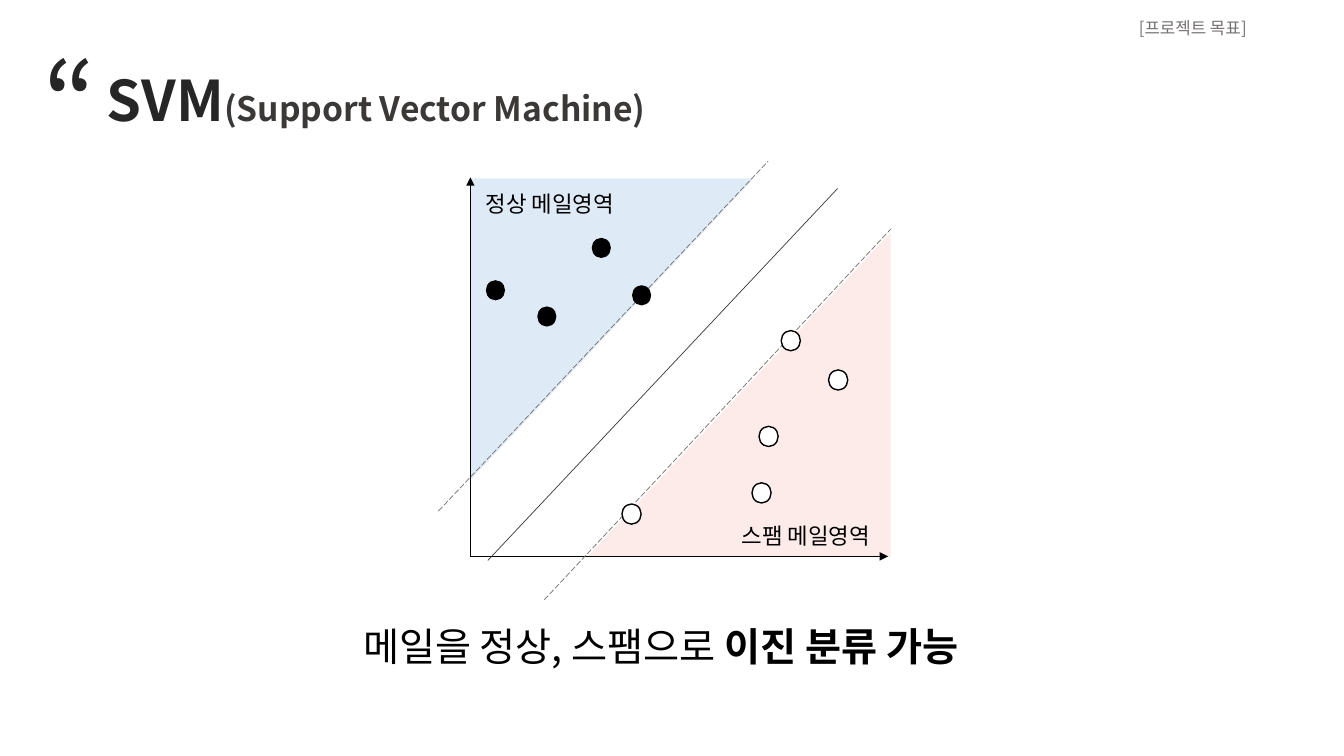
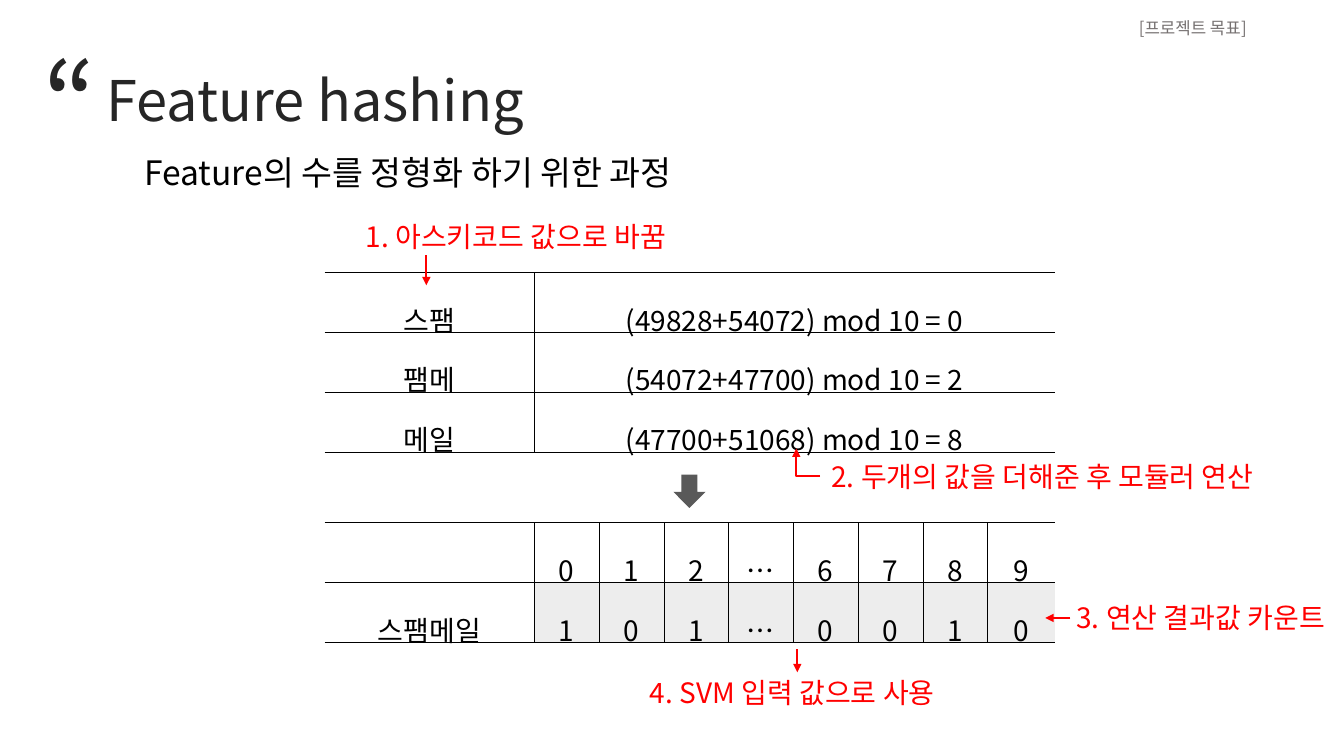
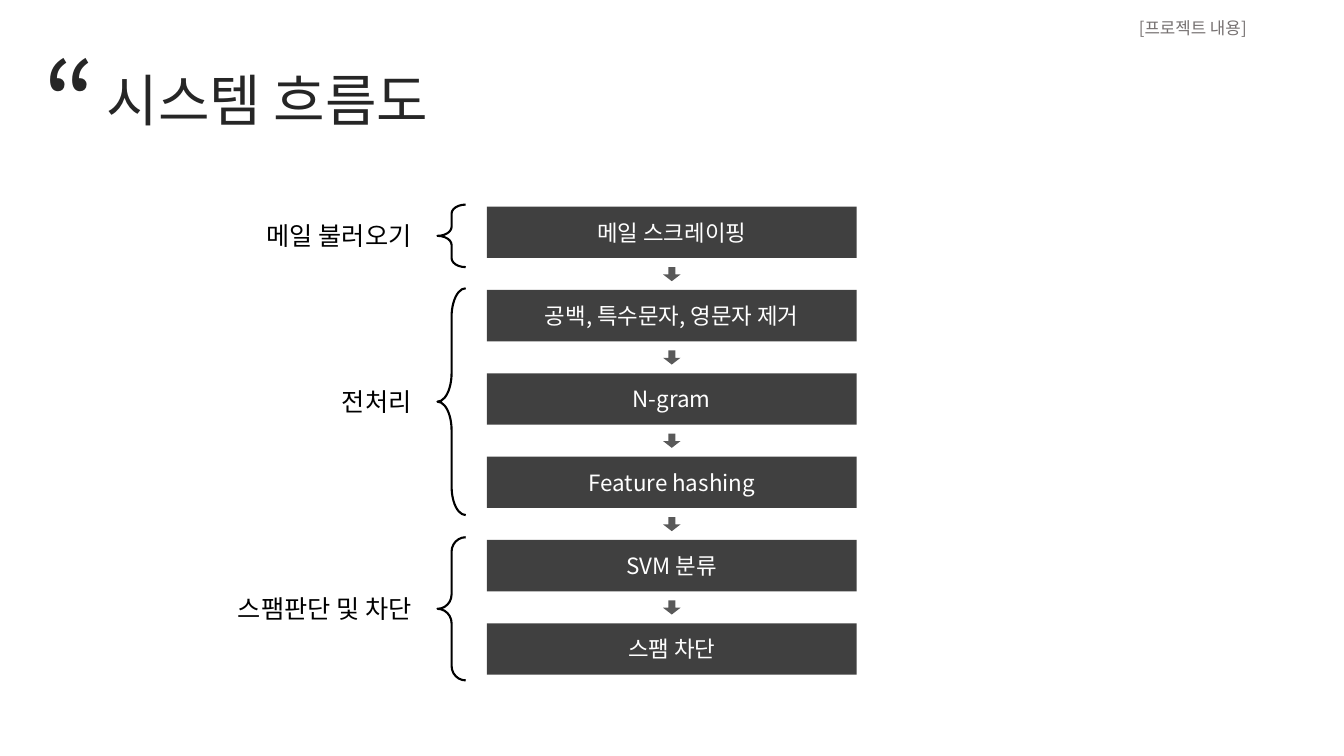
"""Build three slides about spam mail classification."""
import dataclasses

import lxml.etree
import pptx
import pptx.dml.color
import pptx.enum.dml
import pptx.enum.shapes
import pptx.enum.text
import pptx.oxml.ns
import pptx.util

ALIGN = pptx.enum.text.PP_ALIGN
ANCHOR = pptx.enum.text.MSO_ANCHOR
SHAPE = pptx.enum.shapes.MSO_SHAPE
LONG_DASH = pptx.enum.dml.MSO_LINE.LONG_DASH
qn = pptx.oxml.ns.qn

COLUMNS, ROWS = 40, 22.5
UNIT = pptx.util.Inches(1) / 3


@dataclasses.dataclass(frozen=True)
class Theme:
    """Colours, type sizes and font shared by the slides."""

    font: str = "Noto Sans CJK KR"
    black: str = "000000"
    white: str = "FFFFFF"
    heading: str = "262626"
    subheading: str = "3B3838"
    muted: str = "767171"
    box: str = "404040"
    arrow: str = "595959"
    note: str = "FF0000"
    normal_area: str = "DEEBF7"
    spam_area: str = "FCEBE8"
    count: str = "EDEDED"
    tag_size: int = 12
    label_size: int = 16
    group_size: int = 18
    body_size: int = 20
    lead_size: int = 24
    statement_size: int = 28
    title_size: int = 40
    quote_size: int = 80


THEME = Theme()


def units(*lengths):
    """Turn grid lengths into EMU."""
    return [pptx.util.Emu(round(length * UNIT)) for length in lengths]


def rgb(colour):
    """Return a colour object for a hex string."""
    return pptx.dml.color.RGBColor.from_string(colour)


def write(paragraph, text, size, colour=THEME.black, bold=False):
    """Append one run to a paragraph."""
    run = paragraph.add_run()
    run.text = text
    run.font.size = pptx.util.Pt(size)
    run.font.name = THEME.font
    run.font.bold = bold
    run.font.color.rgb = rgb(colour)
    east_asian = lxml.etree.SubElement(run._r.get_or_add_rPr(), qn("a:ea"))
    east_asian.set("typeface", THEME.font)


def text_box(slide, box, runs, align=ALIGN.LEFT, wrap=True):
    """Add a text box with one paragraph of runs and return the paragraph."""
    frame = slide.shapes.add_textbox(*units(*box)).text_frame
    frame.word_wrap = wrap
    frame.auto_size = pptx.enum.text.MSO_AUTO_SIZE.SHAPE_TO_FIT_TEXT
    paragraph = frame.paragraphs[0]
    paragraph.alignment = align
    for run in runs:
        write(paragraph, *run)
    return paragraph


def shape(slide, kind, box, fill=None, line=None, width=1, adjust=()):
    """Add a preset shape with optional fill, outline and adjustments."""
    added = slide.shapes.add_shape(kind, *units(*box))
    added.shadow.inherit = False
    for index, value in enumerate(adjust):
        added.adjustments[index] = value
    if fill:
        added.fill.solid()
        added.fill.fore_color.rgb = rgb(fill)
    else:
        added.fill.background()
    if line:
        added.line.color.rgb = rgb(line)
        added.line.width = pptx.util.Pt(width)
    else:
        added.line.fill.background()
    return added


def line(slide, start, end, colour, width=0.5, dash=None, arrow=False):
    """Add a straight line, optionally dashed or with an arrowhead."""
    straight = pptx.enum.shapes.MSO_CONNECTOR.STRAIGHT
    added = slide.shapes.add_connector(straight, *units(*start, *end))
    added.line.color.rgb = rgb(colour)
    added.line.width = pptx.util.Pt(width)
    if dash:
        added.line.dash_style = dash
    properties = added.element.spPr
    if arrow:
        head = lxml.etree.SubElement(properties.find(qn("a:ln")), qn("a:tailEnd"))
        head.set("type", "triangle")
    lxml.etree.SubElement(properties, qn("a:effectLst"))
    return added


def elbow_arrow(slide, tip, start):
    """Add an arrow running left from its start, then up to its tip."""
    added = line(slide, tip, start, THEME.note, 1.5, arrow=True)
    properties = added.element.spPr
    properties.find(qn("a:xfrm")).set("rot", "10800000")
    properties.find(qn("a:prstGeom")).set("prst", "bentConnector2")


def corner_area(slide, box, rotation, fill):
    """Add a right triangle turned a quarter so that it fills the given box."""
    left, top, width, height = box
    shift = (width - height) / 2
    turned = (left + shift, top - shift, height, width)
    shape(slide, SHAPE.RIGHT_TRIANGLE, turned, fill).rotation = rotation


def new_slide(deck, tag, *title_runs):
    """Add a slide with its section tag, quotation mark and title."""
    slide = deck.slides.add_slide(deck.slide_layouts[5])
    title = slide.shapes.title
    title.left, title.top, title.width, title.height = units(2.88, 1.8, 26.5, 2.31)
    frame = title.text_frame
    frame.word_wrap = True
    frame.auto_size = pptx.enum.text.MSO_AUTO_SIZE.NONE
    frame.vertical_anchor = ANCHOR.TOP
    frame.paragraphs[0].alignment = ALIGN.LEFT
    for run in title_runs:
        write(frame.paragraphs[0], *run)
    section = text_box(slide, (33.6, 0.45, 6, 1.41),
                       [(tag, THEME.tag_size, THEME.muted)], ALIGN.JUSTIFY)
    section.line_spacing = 0.9
    text_box(slide, (1, 0.84, 2.5, 4.35), [("“", THEME.quote_size, THEME.heading)])
    return slide


def svm_slide(deck):
    """Show the two mail areas split by a support vector machine."""
    slide = new_slide(
        deck, "[프로젝트 목표]",
        ("SVM", THEME.title_size, THEME.heading, True),
        ("(Support Vector Machine)", THEME.lead_size, THEME.subheading, True))
    corner_area(slide, (17.48, 6.92, 9.03, 9.66), 270, THEME.spam_area)
    corner_area(slide, (14, 5.31, 8.43, 8.97), 90, THEME.normal_area)
    origin = (14, 16.56)
    for axis_end in ((14, 5.28), (26.43, 16.56)):
        line(slide, origin, axis_end, THEME.black, arrow=True)
    for start, end in (((13.05, 15.21), (22.86, 4.8)), ((16.2, 17.85), (26.52, 6.81))):
        line(slide, start, end, THEME.muted, dash=LONG_DASH)
    line(slide, (14.52, 16.68), (24.93, 5.61), THEME.subheading)
    normal_mails = [(15.99, 9.12), (18.81, 8.49), (17.61, 7.08), (14.46, 8.34)]
    spam_mails = [(23.25, 9.84), (22.59, 12.69), (18.51, 15), (22.38, 14.37), (24.66, 11.01)]
    for mails, fill, outline in ((normal_mails, THEME.black, None),
                                 (spam_mails, THEME.white, THEME.black)):
        for mail in mails:
            shape(slide, SHAPE.OVAL, (*mail, 0.57, 0.6), fill, outline)
    for area, place in (("스팸 메일영역", (21.78, 15.39)), ("정상 메일영역", (14.16, 5.52))):
        text_box(slide, (*place, 5.4, 1.08), [(area, THEME.label_size)])
    text_box(slide, (6.21, 18.36, 26.91, 1.71),
             [("메일을 정상, 스팸으로 ", THEME.statement_size),
              ("이진 분류 가능", THEME.statement_size, THEME.black, True)], ALIGN.CENTER)


def border(cell, side, visible):
    """Draw or hide one side of a table cell."""
    edge = lxml.etree.Element(qn("a:ln" + side), w="3556")
    if visible:
        fill = lxml.etree.SubElement(edge, qn("a:solidFill"))
        lxml.etree.SubElement(fill, qn("a:srgbClr"), val=THEME.black)
    else:
        lxml.etree.SubElement(edge, qn("a:noFill"))
    properties = cell._tc.get_or_add_tcPr()
    properties.insert("LRTB".index(side), edge)


def table_cell(cell, text, fill, left_rule, right_rule):
    """Format one table cell and write its text."""
    cell.margin_left = cell.margin_right = pptx.util.Inches(0.07)
    cell.margin_top = cell.margin_bottom = pptx.util.Inches(0.02)
    cell.vertical_anchor = ANCHOR.MIDDLE
    if fill:
        cell.fill.solid()
        cell.fill.fore_color.rgb = rgb(fill)
    else:
        cell.fill.background()
    for side, visible in zip("LRTB", (left_rule, right_rule, True, True)):
        border(cell, side, visible)
    if text:
        paragraph = cell.text_frame.paragraphs[0]
        paragraph.alignment = ALIGN.CENTER
        paragraph.line_spacing = 1.6
        write(paragraph, text, THEME.body_size)


def hashing_table(slide):
    """Add the table of hash sums and bucket counts."""
    rows = [
        ["스팸", "(49828+54072) mod 10 = 0"],
        ["팸메", "(54072+47700) mod 10 = 2"],
        ["메일", "(47700+51068) mod 10 = 8"],
        [""],
        ["", "0", "1", "2", "⋯", "6", "7", "8", "9"],
        ["스팸메일", "1", "0", "1", "…", "0", "0", "1", "0"],
    ]
    last_row, last_column = len(rows) - 1, len(rows[-1]) - 1
    width, height, first, last, gap = 21.75, 11.01, 6.24, 2.01, 2.1
    table = slide.shapes.add_table(
        last_row + 1, last_column + 1, *units(9.66, 8.1, width, height)).table
    table.first_row = table.horz_banding = False
    bucket = (width - first - last) / (last_column - 1)
    for column, size in zip(table.columns, units(first, *[bucket] * (last_column - 1), last)):
        column.width = size
    for row, texts in enumerate(rows):
        share = gap if texts == [""] else (height - gap) / last_row
        table.rows[row].height = units(share)[0]
        for column in range(last_column + 1):
            text = texts[column] if column < len(texts) else ""
            fill = THEME.count if row == last_row and column else None
            table_cell(table.cell(row, column), text, fill,
                       0 < column < len(texts), column + 1 < len(texts))
        if len(texts) <= last_column:
            table.cell(row, len(texts) - 1).merge(table.cell(row, last_column))


def hashing_slide(deck):
    """Explain feature hashing with a worked table and four notes."""
    slide = new_slide(deck, "[프로젝트 목표]",
                      ("Feature hashing", THEME.title_size, THEME.heading))
    text_box(slide, (4, 4.38, 25.59, 1.5),
             [("Feature의 수를 정형화 하기 위한 과정", THEME.lead_size)])
    hashing_table(slide)
    shape(slide, SHAPE.DOWN_ARROW, (20.04, 14.13, 0.96, 0.99), THEME.arrow)
    notes = [
        ("1. 아스키코드 값으로 바꿈", (10.59, 6.39, 10.41), True),
        ("2. 두개의 값을 더해준 후 모듈러 연산", (24.45, 13.53, 13.29), True),
        ("3. 연산 결과값 카운트", (31.74, 17.73, 8.25), False),
        ("4. SVM 입력 값으로 사용", (19.05, 19.95, 9.48), True),
    ]
    for note, place, wrap in notes:
        text_box(slide, (*place, 1.32), [(note, THEME.body_size, THEME.note)], wrap=wrap)
    for start, end in (((12.69, 7.59), (12.69, 8.49)),
                       ((31.86, 18.39), (31.11, 18.39)),
                       ((23.73, 19.32), (23.73, 20.01))):
        line(slide, start, end, THEME.note, 1.5, arrow=True)
    elbow_arrow(slide, (23.7, 13.35), (24.41, 14.16))


def flow_slide(deck):
    """Show the system flow as grouped steps."""
    slide = new_slide(deck, "[프로젝트 내용]",
                      ("시스템 흐름도", THEME.title_size, THEME.heading))
    steps = ["메일 스크레이핑", "공백, 특수문자, 영문자 제거", "N-gram",
             "Feature hashing", "SVM 분류", "스팸 차단"]
    left, top, width, height, pitch = 14.49, 6.15, 11.01, 1.53, 2.48
    for index, step in enumerate(steps):
        step_top = top + index * pitch
        frame = shape(slide, SHAPE.RECTANGLE, (left, step_top, width, height),
                      THEME.box).text_frame
        frame.word_wrap = True
        frame.vertical_anchor = ANCHOR.MIDDLE
        frame.paragraphs[0].alignment = ALIGN.CENTER
        write(frame.paragraphs[0], step, THEME.label_size, THEME.white)
        if index:
            shape(slide, SHAPE.DOWN_ARROW,
                  (left + width / 2 - 0.26, step_top - 0.68, 0.52, 0.42),
                  THEME.arrow, adjust=(0.4, 0.48))
    groups = [("메일 불러오기", 6.09, 1.86, 0.32), ("전처리", 8.58, 6.75, 1.01),
              ("스팸판단 및 차단", 15.99, 4.26, 0.51)]
    for group, brace_top, brace_height, curve in groups:
        shape(slide, SHAPE.LEFT_BRACE, (13.02, brace_top, 0.84, brace_height),
              line=THEME.black, width=1.5, adjust=(curve, 0.5))
        text_box(slide, (6.48, brace_top + brace_height / 2 - 0.6, 6.06, 1.2),
                 [(group, THEME.group_size)], ALIGN.RIGHT)


def main():
    """Build and save the presentation."""
    deck = pptx.Presentation()
    deck.slide_width, deck.slide_height = units(COLUMNS, ROWS)
    svm_slide(deck)
    hashing_slide(deck)
    flow_slide(deck)
    deck.save("out.pptx")


if __name__ == "__main__":
    main()
